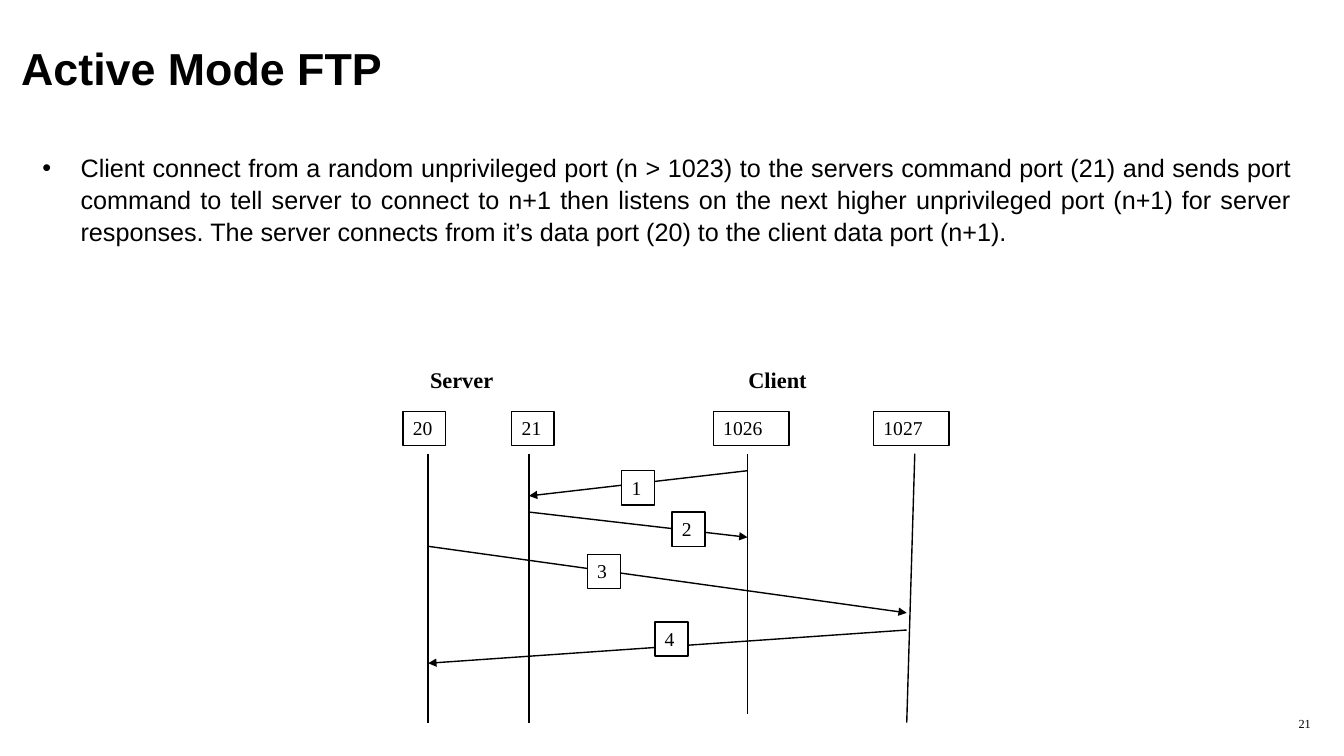
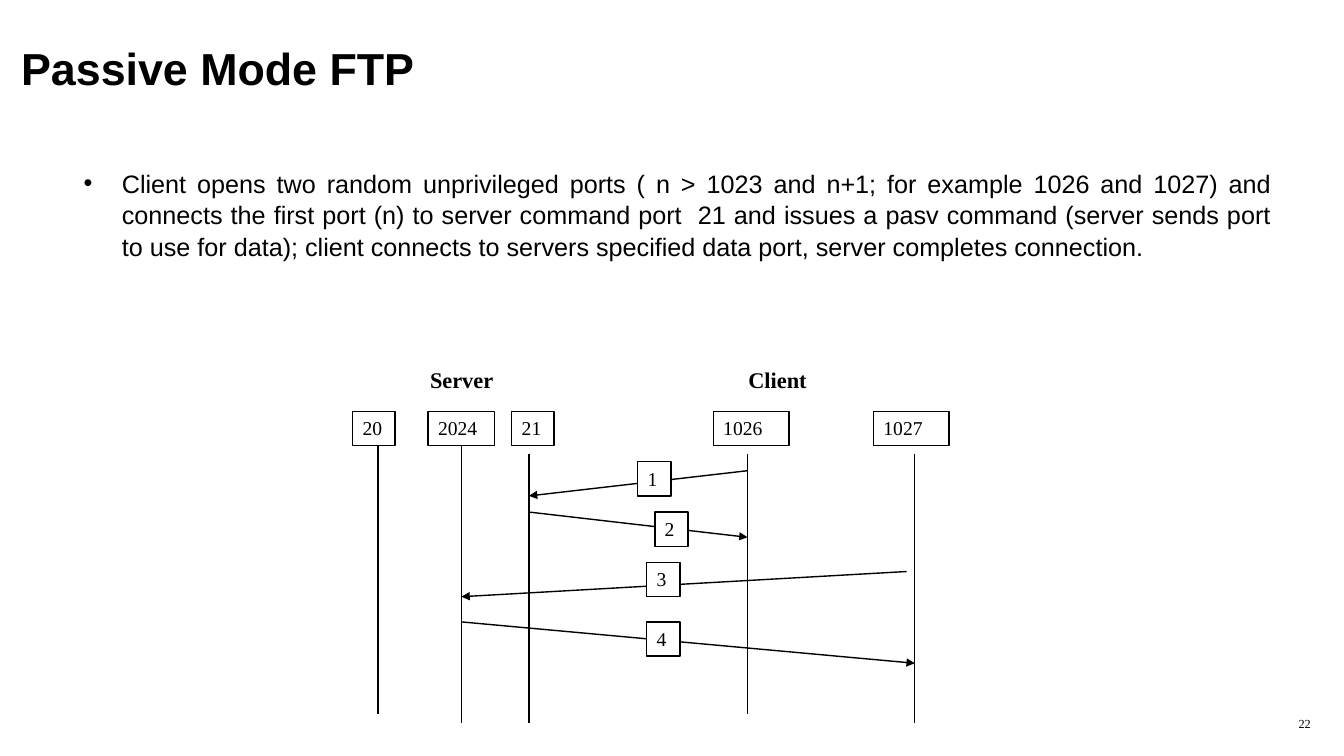
from lxml import etree
from pptx import Presentation
from pptx.dml.color import RGBColor
from pptx.enum.shapes import MSO_CONNECTOR, MSO_SHAPE
from pptx.enum.text import MSO_ANCHOR, MSO_AUTO_SIZE, PP_ALIGN
from pptx.oxml.ns import qn
from pptx.util import Inches, Pt

STRAIGHT, RECTANGLE = MSO_CONNECTOR.STRAIGHT, MSO_SHAPE.RECTANGLE
TOP, MIDDLE, NO_FIT = MSO_ANCHOR.TOP, MSO_ANCHOR.MIDDLE, MSO_AUTO_SIZE.NONE
LEFT, RIGHT, JUSTIFY = PP_ALIGN.LEFT, PP_ALIGN.RIGHT, PP_ALIGN.JUSTIFY
BOTTOM_SITE = 2

COLORS = {"ink": "000000", "paper": "FFFFFF"}
FONTS = {
    "title": {"name": "Arial", "size": Pt(32), "bold": True},
    "body": {"name": "Arial", "size": Pt(18), "bold": False},
    "side": {"name": "Times New Roman", "size": Pt(16), "bold": True},
    "port": {"name": "Times New Roman", "size": Pt(14), "bold": False},
    "number": {"name": "Times New Roman", "size": Pt(8.8), "bold": False},
}
SIDES = {"Server": 4.17, "Client": 7.33}
PORT_TOP, BOX_HEIGHT, BADGE_WIDTH = 4.08, 0.34, 0.33

SLIDES = [
    {
        "title": "Active Mode FTP",
        "body": "Client connect from a random unprivileged port (n > 1023) to the servers "
                "command port (21) and sends port command to tell server to connect to n+1 "
                "then listens on the next higher unprivileged port (n+1) for server "
                "responses. The server connects from it’s data port (20) to the client "
                "data port (n+1).",
        "body_at": (0.32, 1.45, 12.6, 1.84),
        "ports": [("20", 4, 0.42), ("21", 5.08, 0.42),
                  ("1026", 7.08, 0.75), ("1027", 8.67, 0.75)],
        "lifelines": [((4.25, 4.5), (4.25, 7.17)), ((5.25, 4.5), (5.25, 7.17)),
                      ((7.42, 4.5), (7.42, 7.08)), ((9.08, 4.5), (9, 7.17))],
        "messages": [((7.42, 4.67), (5.25, 4.92), (6.17, 4.67)),
                     ((5.25, 5.08), (7.42, 5.33), (6.67, 5.08)),
                     ((4.25, 5.42), (9, 6.08), (5.83, 5.5)),
                     ((9, 6.25), (4.25, 6.58), (6.5, 6.17))],
        "number": "21",
    },
    {
        "title": "Passive Mode FTP",
        "body": "Client opens two random unprivileged ports ( n > 1023 and n+1; for example "
                "1026 and 1027) and connects the first port (n) to server command port  21 "
                "and issues a pasv command (server sends port to use for data); client "
                "connects to servers specified data port, server completes connection.",
        "body_at": (0.73, 1.6, 11.99, 1.33),
        "ports": [("20", 3.5, 0.42), ("2024", 4.25, 0.66), ("21", 5.08, 0.42),
                  ("1026", 7.08, 0.75), ("1027", 8.67, 0.75)],
        "lifelines": [((3.75, 4.42), (3.75, 7.08)), ("2024", (4.58, 7.17)),
                      ((5.25, 4.5), (5.25, 7.17)), ((7.42, 4.5), (7.42, 7.08)),
                      ((9.08, 4.5), (9.08, 7.17))],
        "messages": [((7.42, 4.67), (5.25, 4.92), (6.33, 4.58)),
                     ((5.25, 5.08), (7.42, 5.33), (6.5, 5.08)),
                     ((9, 5.67), (4.58, 5.92), (6.42, 5.58)),
                     ((4.58, 6.17), (9.08, 6.58), (6.42, 6.17))],
        "number": "22",
    },
]


def place(shape, at):
    """Set the position and size of a shape in inches."""
    for name, length in zip(("left", "top", "width", "height"), at):
        setattr(shape, name, Inches(length))


def write(shape, text, style, align=LEFT, anchor=TOP):
    """Fill a shape with one formatted paragraph and return the paragraph."""
    frame = shape.text_frame
    frame.word_wrap = True
    frame.auto_size = NO_FIT
    frame.vertical_anchor = anchor
    para = frame.paragraphs[0]
    para.alignment = align
    para.space_before = Pt(0)
    span = para.add_run()
    span.text = text
    for name, value in FONTS[style].items():
        setattr(span.font, name, value)
    span.font.color.rgb = RGBColor.from_string(COLORS["ink"])
    return para


def ink_line(line):
    """Give an outline or connector the shared black stroke."""
    line.color.rgb = RGBColor.from_string(COLORS["ink"])
    line.width = Pt(1)


def add_label(page, text, at, style, align=LEFT):
    """Add a text box and return its paragraph."""
    box = page.shapes.add_textbox(*map(Inches, at))
    return write(box, text, style, align)


def add_box(page, text, left, top, width, filled=False):
    """Add an outlined box with a short number."""
    box = page.shapes.add_shape(RECTANGLE, *map(Inches, (left, top, width, BOX_HEIGHT)))
    box.shadow.inherit = False
    if filled:
        box.fill.solid()
        box.fill.fore_color.rgb = RGBColor.from_string(COLORS["paper"])
    else:
        box.fill.background()
    ink_line(box.line)
    write(box, text, "port")
    return box


def add_line(page, start, end, arrow=False):
    """Add a straight line, with an arrowhead at its end if wanted."""
    line = page.shapes.add_connector(STRAIGHT, *map(Inches, (*start, *end)))
    ink_line(line.line)
    if arrow:
        etree.SubElement(line.line._get_or_add_ln(), qn("a:tailEnd"), type="triangle")
    etree.SubElement(line._element.spPr, qn("a:effectLst"))
    return line


def add_bullet_body(body, text, at):
    """Place the body placeholder and write its justified bullet."""
    place(body, at)
    para = write(body, text, "body", JUSTIFY)
    para.line_spacing = 1.05
    properties = para._p.get_or_add_pPr()
    properties.set("marL", str(Inches(0.38)))
    properties.set("indent", str(-Inches(0.38)))
    etree.SubElement(properties, qn("a:buFont"), typeface="Arial")
    etree.SubElement(properties, qn("a:buChar"), char="•")


def add_diagram(page, content):
    """Draw the ports, their lifelines and the numbered messages."""
    for side, left in SIDES.items():
        add_label(page, side, (left, 3.58, 1.42, 0.37), "side")
    boxes = {port: add_box(page, port, left, PORT_TOP, width)
             for port, left, width in content["ports"]}
    for start, end in content["lifelines"]:
        if start in boxes:
            line = add_line(page, (end[0], PORT_TOP + BOX_HEIGHT), end)
            line.begin_connect(boxes[start], BOTTOM_SITE)
        else:
            add_line(page, start, end)
    for step, (start, end, badge) in enumerate(content["messages"], 1):
        add_line(page, start, end, arrow=True)
        add_box(page, str(step), *badge, BADGE_WIDTH, filled=True)


def add_page(deck, content):
    """Build one slide from its content."""
    page = deck.slides.add_slide(deck.slide_layouts[1])
    title, body = page.placeholders
    place(title, (0.11, 0.17, 13.11, 1))
    write(title, content["title"], "title", anchor=MIDDLE)
    add_bullet_body(body, content["body"], content["body_at"])
    add_diagram(page, content)
    number = add_label(page, content["number"], (10.33, 7.08, 2.78, 0.25), "number", RIGHT)
    number.line_spacing = 0.8


def main():
    """Build and save the deck."""
    deck = Presentation()
    deck.slide_width, deck.slide_height = Inches(13.34), Inches(7.5)
    for content in SLIDES:
        add_page(deck, content)
    deck.save("out.pptx")


if __name__ == "__main__":
    main()
